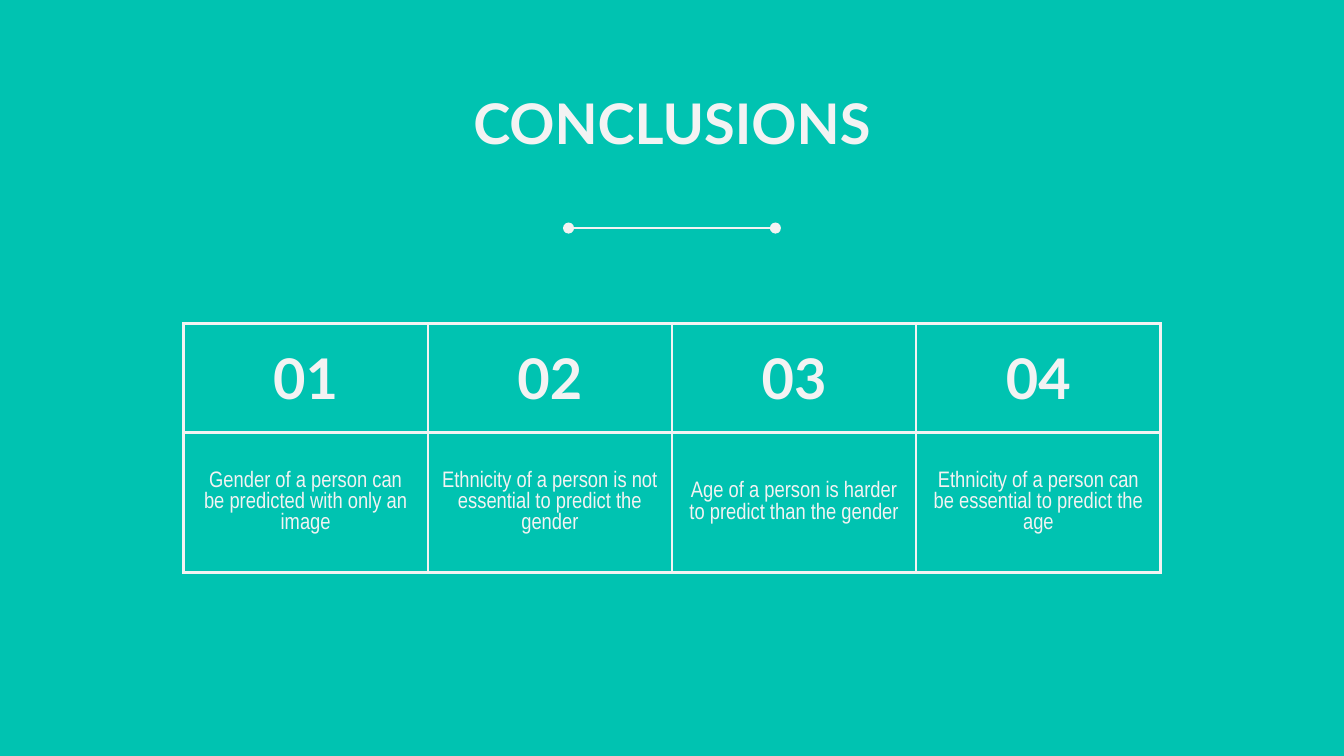
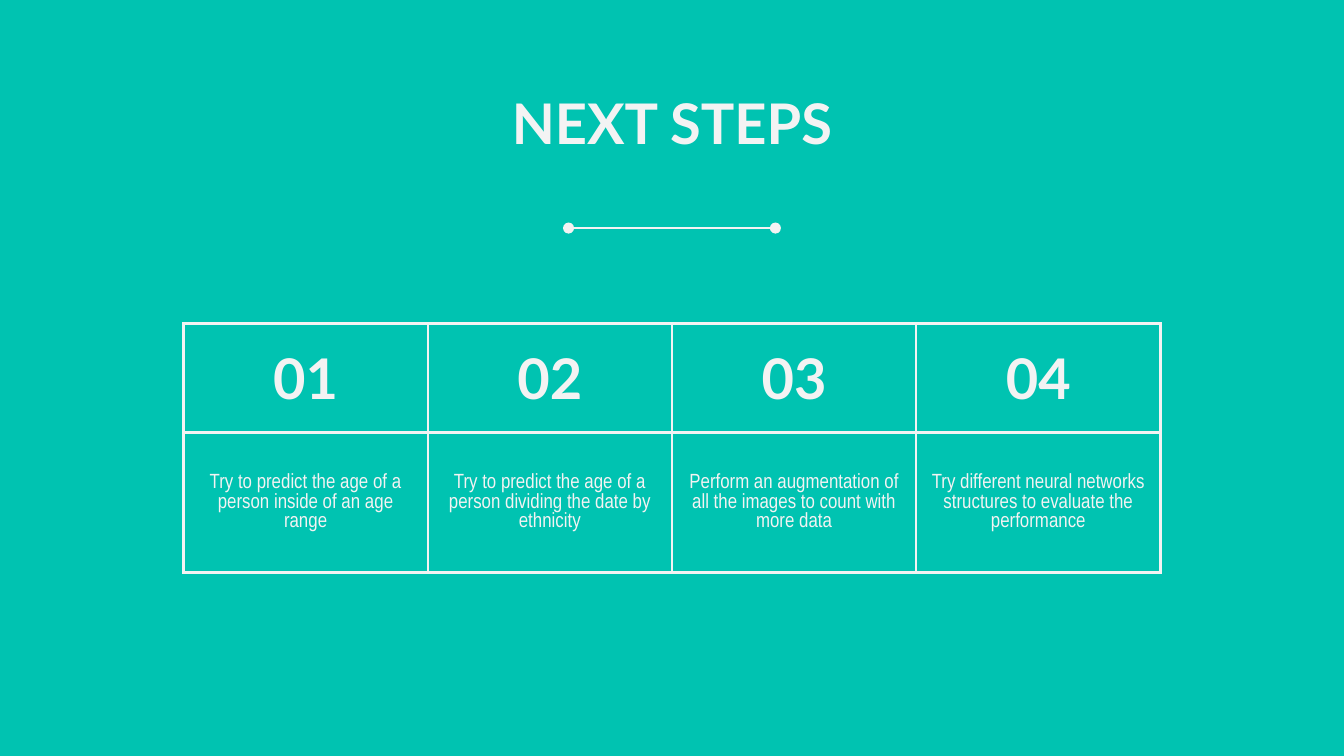
from lxml.etree import SubElement
from pptx import Presentation
from pptx.dml.color import RGBColor
from pptx.enum.shapes import MSO_CONNECTOR as Connector
from pptx.enum.text import MSO_ANCHOR as Anchor, PP_ALIGN as Align
from pptx.oxml.ns import qn
from pptx.util import Pt

# Content: title, body text size, one statement per column
SLIDES = [
    ("CONCLUSIONS", 12, [
        "Gender of a person can be predicted with only an image",
        "Ethnicity of a person is not essential to predict the gender",
        "Age of a person is harder to predict than the gender",
        "Ethnicity of a person can be essential to predict the age",
    ]),
    ("NEXT STEPS", 11, [
        "Try to predict the age of a person inside of an age range",
        "Try to predict the age of a person dividing the date by ethnicity",
        "Perform an augmentation of all the images to count with more data",
        "Try different neural networks structures to evaluate the performance",
    ]),
]

# Shared style
TEAL = RGBColor(0x00, 0xC3, 0xB1)
PALE = RGBColor(0xF3, 0xF3, 0xF3)
HEADING = {"name": "Lato", "size": Pt(30), "bold": True}
BODY = {"name": "Arial Narrow", "bold": False}
LINE_WIDTH = Pt(1.5)
CELL_ALPHA = 19  # percent
PADDING = Pt(7.2)

# Shared layout
PAGE_WIDTH, PAGE_HEIGHT = Pt(720), Pt(405)
TITLE_AREA = (Pt(56.6), Pt(40.3), Pt(606.8), Pt(45.4))
RULE_WIDTH, RULE_TOP = Pt(110.8), Pt(122.2)
TABLE_TOP, COLUMN_WIDTH = Pt(173.4), Pt(130.85)
ROW_HEIGHTS = (Pt(58.4), Pt(75))


def set_margins(target):
    for side in ("left", "top", "right", "bottom"):
        setattr(target, f"margin_{side}", PADDING)


def write(frame, text, style):
    frame.word_wrap = True
    para = frame.paragraphs[0]
    para.alignment = Align.CENTER
    span = para.add_run()
    span.text = text
    for name, value in style.items():
        setattr(span.font, name, value)
    span.font.color.rgb = PALE


def add_title(page, text):
    frame = page.shapes.add_textbox(*TITLE_AREA).text_frame
    set_margins(frame)
    frame.vertical_anchor = Anchor.TOP
    write(frame, text, HEADING)


def add_rule(page):
    left = (PAGE_WIDTH - RULE_WIDTH) // 2
    rule = page.shapes.add_connector(
        Connector.STRAIGHT, left + RULE_WIDTH, RULE_TOP, left, RULE_TOP)
    rule.line.color.rgb = PALE
    rule.line.width = LINE_WIDTH
    outline = rule.line._get_or_add_ln()
    for end in ("a:headEnd", "a:tailEnd"):
        SubElement(outline, qn(end), type="oval")
    SubElement(rule._element.spPr, qn("a:effectLst"))


def style_cell(cell):
    set_margins(cell)
    cell.vertical_anchor = Anchor.MIDDLE
    cell.fill.solid()
    cell.fill.fore_color.rgb = TEAL
    props = cell._tc.get_or_add_tcPr()
    fill_color = props.find(qn("a:solidFill"))[0]
    SubElement(fill_color, qn("a:alpha"), val=str(CELL_ALPHA * 1000))

    # Borders come before the fill
    for position, edge in enumerate(("a:lnL", "a:lnR", "a:lnT", "a:lnB")):
        border = SubElement(props, qn(edge), w=str(LINE_WIDTH))
        SubElement(SubElement(border, qn("a:solidFill")),
                   qn("a:srgbClr"), val=str(PALE))
        props.insert(position, border)


def add_points(page, points, body_size):
    numbers = [f"{number:02}" for number in range(1, len(points) + 1)]
    rows = [(numbers, HEADING), (points, {**BODY, "size": Pt(body_size)})]
    width = COLUMN_WIDTH * len(points)
    table = page.shapes.add_table(
        len(rows), len(points), (PAGE_WIDTH - width) // 2, TABLE_TOP,
        width, sum(ROW_HEIGHTS)).table
    table.first_row = table.horz_banding = False
    for column in table.columns:
        column.width = COLUMN_WIDTH
    for row, height, (texts, style) in zip(table.rows, ROW_HEIGHTS, rows):
        row.height = height
        for cell, text in zip(row.cells, texts):
            style_cell(cell)
            write(cell.text_frame, text, style)


def main():
    deck = Presentation()
    deck.slide_width, deck.slide_height = PAGE_WIDTH, PAGE_HEIGHT
    for title, body_size, points in SLIDES:
        page = deck.slides.add_slide(deck.slide_layouts[6])
        page.background.fill.solid()
        page.background.fill.fore_color.rgb = TEAL
        add_title(page, title)
        add_points(page, points, body_size)
        add_rule(page)
    deck.save("out.pptx")


if __name__ == "__main__":
    main()
